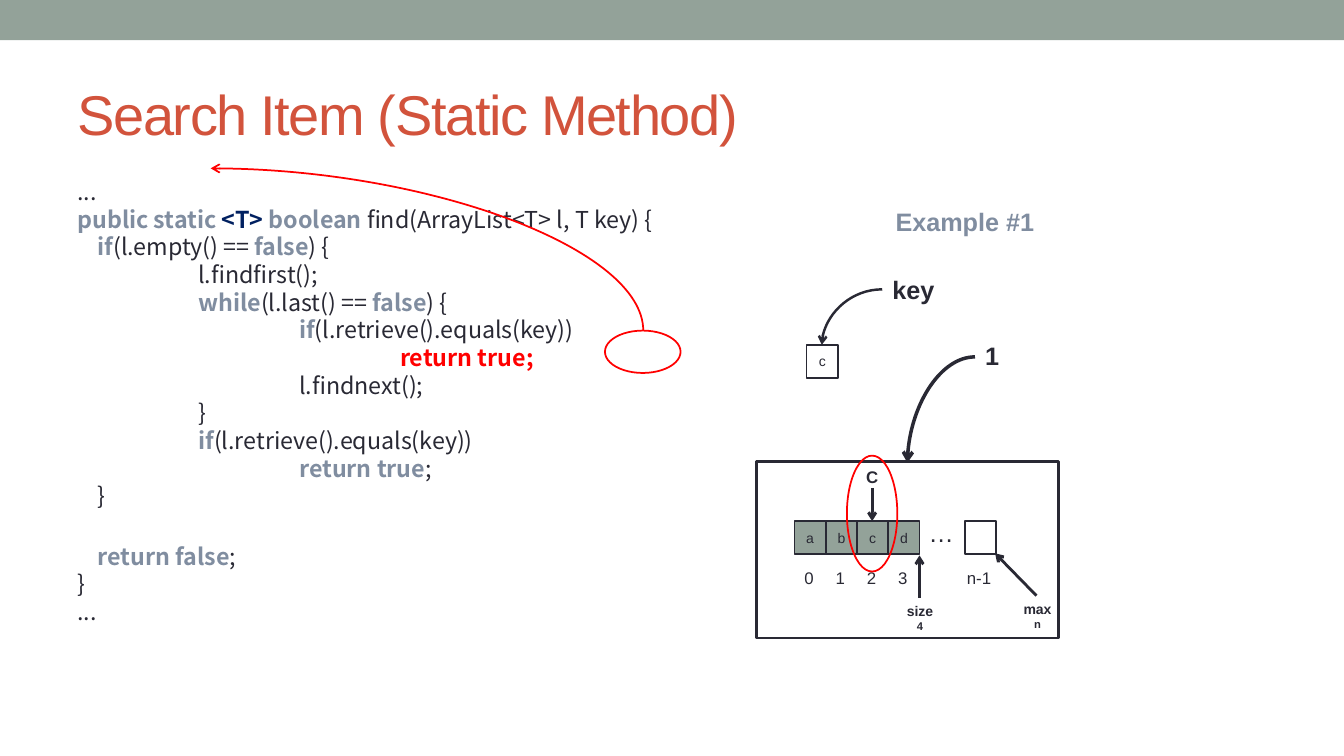
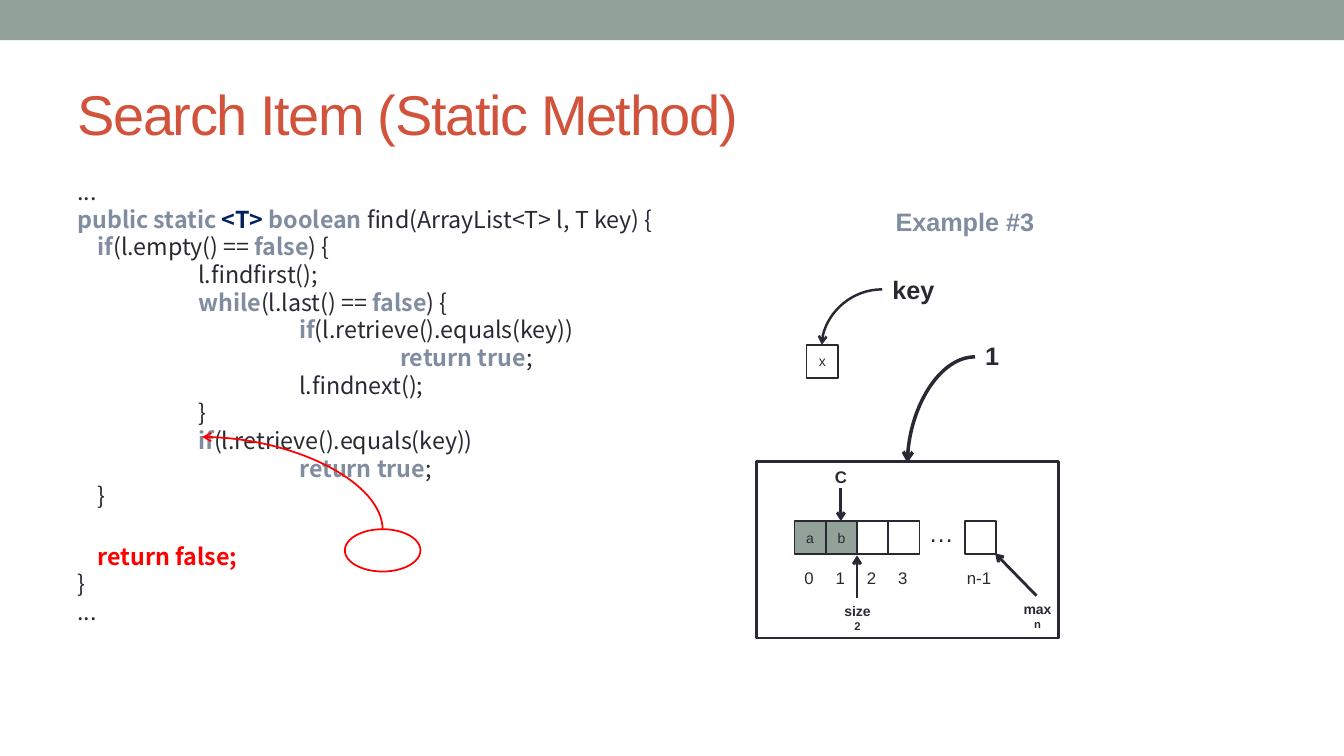
"""Build two slides that trace a static search method over an array list."""
from lxml.etree import SubElement
from pptx import Presentation
from pptx.dml.color import RGBColor
from pptx.enum.shapes import MSO_CONNECTOR as LINK, MSO_SHAPE as SHAPE
from pptx.enum.text import MSO_ANCHOR as ANCHOR, PP_ALIGN as ALIGN
from pptx.oxml.ns import qn
from pptx.util import Pt

PX = 9144
SAGE = RGBColor(0x93, 0xA2, 0x99)
RUST = RGBColor(0xD2, 0x53, 0x3C)
INK = RGBColor(0x29, 0x29, 0x34)
SLATE = RGBColor(0x80, 0x8D, 0xA0)
NAVY = RGBColor(0x00, 0x20, 0x60)
RED = RGBColor(0xFF, 0x00, 0x00)
WHITE = RGBColor(0xFF, 0xFF, 0xFF)

KEYWORDS = dict.fromkeys(
    ["public static", "boolean", "if", "while", "false", "return true", "return false"], SLATE)
KEYWORDS["<T>"] = NAVY
GAP, BLANK_LINE = 2.6, 25.9
CODE = [
    (0, 0, "..."),
    (0, GAP, "public static |<T> |boolean |find(ArrayList<T> l, T key) {"),
    (1, GAP, "if|(l.empty() == |false|) {"),
    (2, GAP, "l.findfirst();"),
    (2, GAP, "while|(l.last() == |false|) {"),
    (3, GAP, "if|(l.retrieve().equals(key))"),
    (4, GAP, "return true|;"),
    (3, GAP, "l.findnext();"),
    (2, GAP, "}"),
    (2, GAP, "if|(l.retrieve().equals(key))"),
    (3, GAP, "return true|;"),
    (1, GAP, "}"),
    (1, BLANK_LINE, "return false|;"),
    (0, GAP, "}"),
    (0, GAP, "..."),
]
CELL_X, CELL_Y, CELL_W, CELL_H = 788, 517, 31, 33

EXAMPLES = [
    dict(name="Example #1", key="c", items="abcd", current=2, returned=6,
         rings=[(600, 328, 75, 42), (840, 452, 50, 115)], jump=(343, 33, 161, 429)),
    dict(name="Example #3", key="x", items="ab", current=1, returned=12,
         rings=[(342, 525, 75, 42)], jump=(244, 390, 92, 179)),
]


def draw(s, kind, x, y, w, h, fill=None, line=None, width=1.25):
    sp = s.shapes.add_shape(kind, x * PX, y * PX, w * PX, h * PX)
    sp.shadow.inherit = False
    if fill is None:
        sp.fill.background()
    else:
        sp.fill.solid()
        sp.fill.fore_color.rgb = fill
    if line is None:
        sp.line.fill.background()
    else:
        sp.line.color.rgb = line
        sp.line.width = Pt(width)
    return sp


def write(sp, text, size, color=INK, bold=False, align=ALIGN.CENTER):
    tf = sp.text_frame
    tf.text = text
    tf.word_wrap = align == ALIGN.LEFT
    tf.vertical_anchor = ANCHOR.MIDDLE
    for i, p in enumerate(tf.paragraphs):
        p.alignment = align
        for r in p.runs:
            r.font.name = "Arial"
            r.font.size = Pt(size - 2 * i)
            r.font.bold = bold
            r.font.color.rgb = color


prs = Presentation()
prs.slide_width, prs.slide_height = 1333 * PX, 750 * PX

for ex in EXAMPLES:
    s = prs.slides.add_slide(prs.slide_layouts[6])
    draw(s, SHAPE.RECTANGLE, 0, 0, 1333, 40, SAGE)

    title = s.shapes.add_textbox(67 * PX, 58 * PX, 1200 * PX, 108 * PX)
    write(title, "Search Item (Static Method)", 40, RUST, align=ALIGN.LEFT)
    title.text_frame.paragraphs[0].runs[0].font._element.set("spc", "-100")

    tf = s.shapes.add_textbox(67 * PX, 175 * PX, 1200 * PX, 533 * PX).text_frame
    tf.word_wrap = True
    for i, (depth, gap, line) in enumerate(CODE):
        p = tf.add_paragraph() if i else tf.paragraphs[0]
        p.line_spacing = 0.86
        p.space_before = Pt(gap)
        if depth:
            p._p.get_or_add_pPr().set("marL", str((100 * depth - 80) * PX))
        returned = i == ex["returned"]
        for piece in [line.replace("|", "")] if returned else line.split("|"):
            color = RED if returned else KEYWORDS.get(piece.strip())
            r = p.add_run()
            r.text = piece
            r.font.name = "Noto Sans CJK SC"
            r.font.size = Pt(16.6)
            r.font.bold = color is not None
            r.font.color.rgb = color or INK

    draw(s, SHAPE.RECTANGLE, 750, 458, 300, 175, line=INK, width=2)
    for i in range(4):
        item = ex["items"][i:i + 1]
        cell = draw(s, SHAPE.RECTANGLE, CELL_X + i * CELL_W, CELL_Y, CELL_W, CELL_H,
                    SAGE if item else None, INK)
        if item:
            write(cell, item, 10)
    draw(s, SHAPE.RECTANGLE, 957, CELL_Y, CELL_W, CELL_H, WHITE, INK)
    write(draw(s, SHAPE.RECTANGLE, 800, 342, CELL_W, CELL_H, line=INK), ex["key"], 10)

    current_x = CELL_X + ex["current"] * CELL_W + CELL_W // 2
    count = len(ex["items"])
    size_x = CELL_X + count * CELL_W
    labels = [(CELL_X + i * CELL_W, 558, 29, 30, str(i), 12, INK, False) for i in range(4)]
    labels += [
        (949, 558, 44, 30, "n-1", 12, INK, False),
        (911, 508, 45, 40, "…", 18, INK, False),
        (current_x - 16, 458, 32, 30, "C", 12, INK, True),
        (size_x - 23, 593, 47, 40, f"size\n{count}", 10, INK, True),
        (1004, 591, 50, 40, "max\nn", 10, INK, True),
        (967, 333, 34, 40, "1", 18, INK, True),
        (875, 267, 62, 40, "key", 18, INK, True),
        (875, 200, 164, 40, ex["name"], 18, SLATE, True),
    ]
    for x, y, w, h, text, size, color, bold in labels:
        tb = s.shapes.add_textbox(x * PX, y * PX, w * PX, h * PX)
        write(tb, text, size, color, bold)

    for ring in ex["rings"]:
        draw(s, SHAPE.OVAL, *ring, line=RED)

    arrows = [
        (current_x, 484, 0, 33, 0, 2, INK),
        (size_x, 593, 0, -42, 0, 2, INK),
        (1028, 591, -41, -42, 0, 2, INK),
        (900, 354, 67, 105, 180, 2.5, INK),
        (815, 287, 60, 55, 180, 1.75, INK),
        (*ex["jump"], 270, 1.25, RED),
    ]
    for x, y, w, h, turn, width, color in arrows:
        c = s.shapes.add_connector(LINK.CURVE if turn else LINK.STRAIGHT,
                                   x * PX, y * PX, (x + w) * PX, (y + h) * PX)
        c.line.color.rgb = color
        c.line.width = Pt(width)
        pr = c._element.spPr
        if turn:
            pr.find(qn("a:prstGeom")).set("prst", "curvedConnector2")
            xfrm = pr.find(qn("a:xfrm"))
            xfrm.set("rot", str(turn * 60000))
            xfrm.set("flipV", "1")
        SubElement(pr.find(qn("a:ln")), qn("a:tailEnd"), type="arrow")
        SubElement(pr, qn("a:effectLst"))

prs.save("out.pptx")
